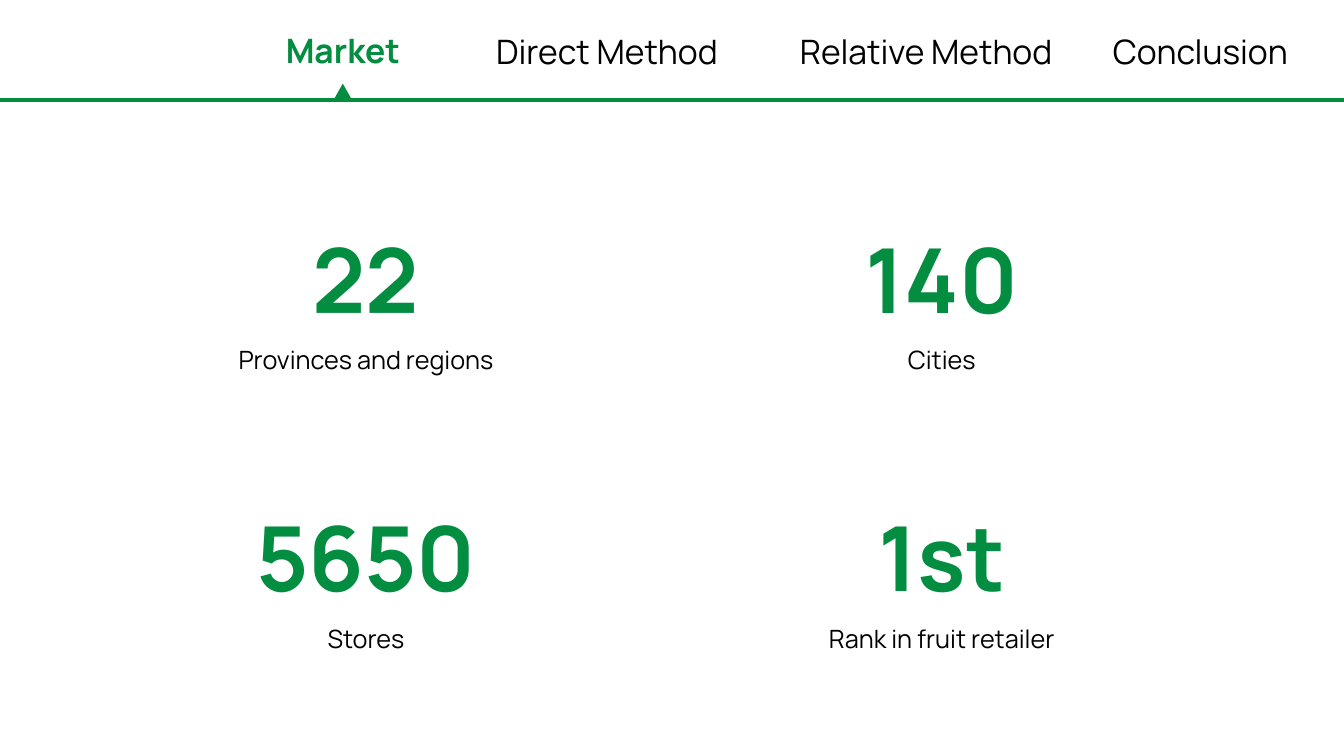
"""Build the market slide: a tab bar above a grid of key figures."""
from dataclasses import dataclass

from lxml.etree import SubElement
from pptx import Presentation
from pptx.dml.color import RGBColor
from pptx.enum.shapes import MSO_CONNECTOR, MSO_SHAPE
from pptx.enum.text import MSO_ANCHOR, MSO_AUTO_SIZE, PP_ALIGN
from pptx.oxml.ns import qn
from pptx.slide import Slide
from pptx.util import Inches, Pt


@dataclass(frozen=True)
class Theme:
    font: str = "Manrope"
    green: RGBColor = RGBColor(0x03, 0x8D, 0x40)
    black: RGBColor = RGBColor(0, 0, 0)
    tab: int = 24
    figure: int = 64
    label: int = 18


@dataclass(frozen=True)
class Tab:
    text: str
    left: float
    width: float


@dataclass(frozen=True)
class Stat:
    figure: str
    label: str
    row: int
    col: int


THEME = Theme()
WIDTH, HEIGHT = 13.33, 7.5
RULE_Y = 0.99
ACTIVE = Tab("Market", 2.38, 2.04)
TABS = [
    Tab("Direct Method", 4.62, 2.8),
    Tab("Relative Method", 7.61, 3.15),
    Tab("Conclusion", 10.76, 2.29),
]
STATS = [
    Stat("22", "Provinces and regions", 0, 0),
    Stat("140", "Cities", 0, 1),
    Stat("5650", "Stores", 1, 0),
    Stat("1st", "Rank in fruit retailer", 1, 1),
]


def write(shape, text: str, *, size: int, color: RGBColor = THEME.black,
          bold: bool = False, spacing: float = 1.0) -> None:
    frame = shape.text_frame
    frame.word_wrap = True
    frame.auto_size = MSO_AUTO_SIZE.NONE
    frame.vertical_anchor = MSO_ANCHOR.TOP
    para = frame.paragraphs[0]
    para.alignment = PP_ALIGN.CENTER
    para.line_spacing = spacing
    run = para.add_run()
    run.text = text
    font = run.font
    font.name, font.size, font.bold = THEME.font, Pt(size), bold
    font.color.rgb = color


def draw_bar(slide: Slide) -> None:
    rule = slide.shapes.add_connector(
        MSO_CONNECTOR.STRAIGHT, 0, Inches(RULE_Y), Inches(WIDTH), Inches(RULE_Y))
    rule.line.color.rgb = THEME.green
    rule.line.width = Pt(3)
    SubElement(rule._element.spPr, qn("a:effectLst"))

    mark = slide.shapes.add_shape(
        MSO_SHAPE.ISOSCELES_TRIANGLE, Inches(3.31), Inches(RULE_Y - 0.16),
        Inches(0.18), Inches(0.16))
    mark.shadow.inherit = False
    mark.fill.solid()
    mark.fill.fore_color.rgb = THEME.green
    mark.line.fill.background()

    title = slide.shapes.title
    title.left, title.top = Inches(ACTIVE.left), Inches(0.25)
    title.width, title.height = Inches(ACTIVE.width), Inches(0.5)
    write(title, ACTIVE.text, size=THEME.tab, color=THEME.green, bold=True)

    for tab in TABS:
        box = slide.shapes.add_textbox(
            Inches(tab.left), Inches(0.26), Inches(tab.width), Inches(0.5))
        write(box, tab.text, size=THEME.tab)


def draw_stat(slide: Slide, stat: Stat) -> None:
    center = 3.63 + 5.71 * stat.col
    top = 1.64 + 2.76 * stat.row
    group = slide.shapes.add_group_shape()
    figure = group.shapes.add_textbox(
        Inches(center - 1.27), Inches(top), Inches(2.54), Inches(1.58))
    write(figure, stat.figure, size=THEME.figure, color=THEME.green,
          bold=True, spacing=1.5)
    label = group.shapes.add_textbox(
        Inches(center - 1.64), Inches(top + 1.58), Inches(3.28), Inches(0.52))
    write(label, stat.label, size=THEME.label, spacing=1.5)


def main() -> None:
    deck = Presentation()
    deck.slide_width, deck.slide_height = Inches(WIDTH), Inches(HEIGHT)
    slide = deck.slides.add_slide(deck.slide_layouts.get_by_name("Title Only"))
    draw_bar(slide)
    for stat in STATS:
        draw_stat(slide, stat)
    deck.save("out.pptx")


if __name__ == "__main__":
    main()
